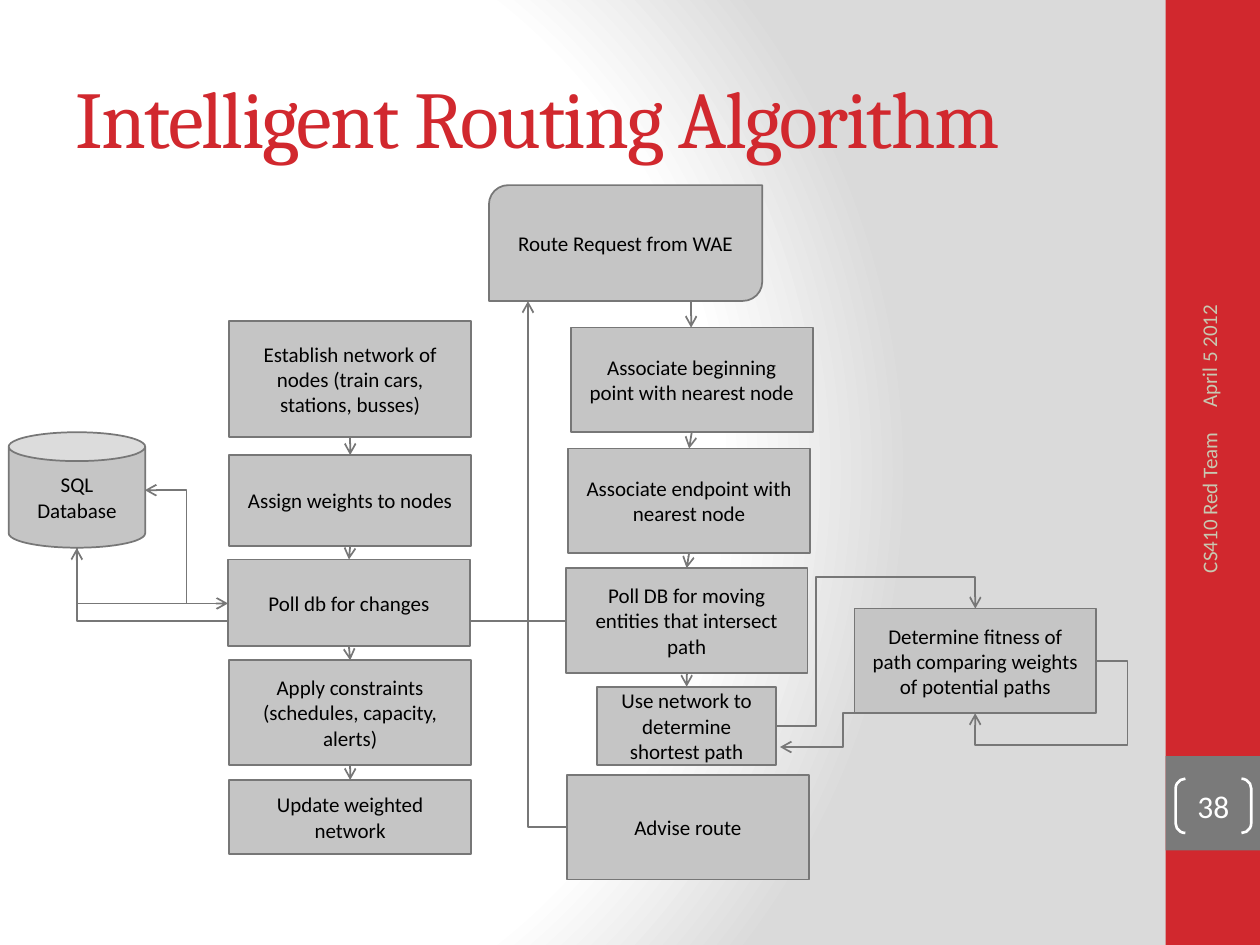
from dataclasses import dataclass
from typing import Any, Optional

from pptx import Presentation
from pptx.dml.color import RGBColor
from pptx.enum.shapes import MSO_AUTO_SHAPE_TYPE as Kind, MSO_CONNECTOR as Link
from pptx.enum.text import MSO_ANCHOR as Anchor, PP_ALIGN as Align
from pptx.oxml import parse_xml
from pptx.oxml.ns import nsdecls, qn
from pptx.util import Pt

RED = RGBColor(0xD1, 0x28, 0x2E)
GREY = RGBColor(0x7A, 0x7A, 0x7A)
BOX_FILL = RGBColor(0xC5, 0xC5, 0xC5)
BOX_LINE = RGBColor(0x77, 0x77, 0x77)
FOOTER = RGBColor(0xC8, 0xC8, 0xB1)
BLACK = RGBColor(0, 0, 0)
WHITE = RGBColor(0xFF, 0xFF, 0xFF)

BODY_FONT = "Calibri"
TITLE_FONT = "Cambria"
BOX_WIDTH = 138.2
STEP_HEIGHT = 59.8
LEFT_COLUMN = 131
BOTTOM, TOP = 2, 0


@dataclass(frozen=True)
class Step:
    text: str
    left: float
    top: float
    width: float = BOX_WIDTH
    height: float = STEP_HEIGHT
    kind: Any = Kind.RECTANGLE


@dataclass(frozen=True)
class Elbow:
    left: float
    top: float
    width: float
    height: float
    bends: int
    rotation: int = 0
    flip: str = ""
    adjust: tuple[float, ...] = ()


@dataclass(frozen=True)
class Label:
    text: str
    area: tuple[float, float, float, float]
    size: float
    color: RGBColor
    font: str = BODY_FONT
    align: Any = Align.LEFT
    rotation: int = 0


DATABASE = Step("SQL Database", 5, 247, 78, 66, Kind.CAN)
REQUEST = Step("Route Request from WAE", 279.4, 105.8, 156.2, 66.2,
               Kind.ROUND_2_DIAG_RECTANGLE)
ESTABLISH = Step("Establish network of nodes (train cars, stations, busses)",
                 LEFT_COLUMN, 183.6, height=66.2)
ASSIGN = Step("Assign weights to nodes", LEFT_COLUMN, 260, height=52)
POLL_CHANGES = Step("Poll db for changes", 130.3, 319.7, height=49.5)
APPLY = Step("Apply constraints\n(schedules, capacity, alerts)", LEFT_COLUMN, 377.3)
UPDATE = Step("Update weighted network", LEFT_COLUMN, 445.7, height=42.5)
BEGINNING = Step("Associate beginning point with nearest node", 326.2, 187.2)
ENDPOINT = Step("Associate endpoint with nearest node", 324.7, 256.3)
POLL_MOVING = Step("Poll DB for moving entities that intersect path", 323.3, 324.7)
SHORTEST = Step("Use network to determine shortest path", 341.3, 392.4, 102.2, 44.6)
ADVISE = Step("Advise route", 324, 442.8)
FITNESS = Step("Determine fitness of path comparing weights of potential paths",
               488.2, 347.8)

LOWER_STEPS = (DATABASE, UPDATE, ESTABLISH, ASSIGN, REQUEST, ENDPOINT, BEGINNING,
               POLL_MOVING, FITNESS, ADVISE, APPLY, SHORTEST)
CHAINS = ((BEGINNING, ENDPOINT, POLL_MOVING, SHORTEST),
          (ESTABLISH, ASSIGN, POLL_CHANGES, APPLY, UPDATE))
ELBOWS = (
    Elbow(301.7, 172.1, 22.3, 300.6, 2, 180),
    Elbow(367.9, 172.1, 27, 15.1, 2),
    Elbow(443.5, 347.8, 113.8, 67, 4, flip="flipV", adjust=(0.2, 1.27)),
    Elbow(557.3, 377.7, 69.1, 29.9, 4, flip="flipH", adjust=(-0.26, 1.6)),
    Elbow(445.7, 407.5, 72, 19.4, 3, 180, "flipV"),
    Elbow(82.8, 280.1, 47.5, 64.8, 3, 180),
    Elbow(71.3, 285.8, 31.7, 86.4, 2, 270, "flipH"),
    Elbow(43.9, 313.2, 279.4, 41.8, 2, 180),
)
LABELS = (
    Label("Intelligent Routing Algorithm", (36, 21.6, 600, 90), 46, RED, TITLE_FONT),
    Label("April 5 2012", (594.7, 129.6, 192.2, 28.8), 12, FOOTER, rotation=270),
    Label("CS410 Red Team", (597.6, 319, 186.5, 28.8), 12, FOOTER,
          align=Align.RIGHT, rotation=270),
)


def assign(target: Any, values: dict[str, Any]) -> None:
    for name, value in values.items():
        setattr(target, name, value)


def write(box: Any, text: str, size: float, color: RGBColor,
          font: str = BODY_FONT, align: Any = Align.CENTER) -> None:
    frame = box.text_frame
    assign(frame, {"word_wrap": True, "vertical_anchor": Anchor.MIDDLE, "text": text})
    for para in frame.paragraphs:
        para.alignment = align
        for span in para.runs:
            assign(span.font, {"name": font, "size": Pt(size)})
            span.font.color.rgb = color


def add_shape(page: Any, kind: Any, area: tuple[float, float, float, float],
              fill: Optional[RGBColor] = None, line: Optional[RGBColor] = None,
              weight: float = 1) -> Any:
    box = page.shapes.add_shape(kind, *map(Pt, area))
    box.shadow.inherit = False
    if fill is None:
        box.fill.background()
    else:
        box.fill.solid()
        box.fill.fore_color.rgb = fill
    if line is None:
        box.line.fill.background()
    else:
        box.line.color.rgb = line
        box.line.width = Pt(weight)
    return box


def add_step(page: Any, step: Step) -> Any:
    box = add_shape(page, step.kind, (step.left, step.top, step.width, step.height),
                    BOX_FILL, BOX_LINE)
    write(box, step.text, 12, BLACK)
    return box


def add_label(page: Any, label: Label) -> Any:
    box = page.shapes.add_textbox(*map(Pt, label.area))
    box.rotation = label.rotation
    write(box, label.text, label.size, label.color, label.font, label.align)
    return box


def add_arrow(page: Any, link: Any) -> Any:
    arrow = page.shapes.add_connector(link, 0, 0, 0, 0)
    arrow.line.color.rgb = BOX_LINE
    arrow.line.width = Pt(1)
    arrow.line._get_or_add_ln().append(
        parse_xml(f'<a:tailEnd {nsdecls("a")} type="arrow"/>'))
    arrow._element.spPr.append(parse_xml(f'<a:effectLst {nsdecls("a")}/>'))
    return arrow


def add_elbow(page: Any, elbow: Elbow) -> None:
    arrow = add_arrow(page, Link.ELBOW)
    assign(arrow, {name: Pt(getattr(elbow, name))
                   for name in ("left", "top", "width", "height")})
    properties = arrow._element.spPr
    frame = properties.find(qn("a:xfrm"))
    frame.set("rot", str(elbow.rotation * 60000))
    if elbow.flip:
        frame.set(elbow.flip, "1")
    guides = "".join(f'<a:gd name="adj{number}" fmla="val {round(value * 100000)}"/>'
                     for number, value in enumerate(elbow.adjust, 1))
    properties.replace(properties.find(qn("a:prstGeom")), parse_xml(
        f'<a:prstGeom {nsdecls("a")} prst="bentConnector{elbow.bends}">'
        f'<a:avLst>{guides}</a:avLst></a:prstGeom>'))


def paint_background(page: Any) -> None:
    page.background.fill.gradient()
    gradient = next(page._element.iter(qn("a:gradFill")))
    stops = "".join(f'<a:gs pos="{place * 1000}"><a:srgbClr val="{color}"/></a:gs>'
                    for place, color in ((0, WHITE), (75, WHITE), (100, "DADADA")))
    gradient.getparent().replace(gradient, parse_xml(
        f'<a:gradFill {nsdecls("a")} rotWithShape="1"><a:gsLst>{stops}</a:gsLst>'
        '<a:path path="circle"><a:fillToRect l="20000" t="50000" r="100000" b="50000"/>'
        '</a:path></a:gradFill>'))


def main() -> None:
    deck = Presentation()
    assign(deck, {"slide_width": Pt(720), "slide_height": Pt(540)})
    page = deck.slides.add_slide(deck.slide_layouts[6])
    paint_background(page)
    add_shape(page, Kind.RECTANGLE, (666, 0, 54, 540), RED)
    add_shape(page, Kind.RECTANGLE, (666, 432, 54, 54), GREY)
    title, *_ = [add_label(page, label) for label in LABELS]
    title.text_frame.paragraphs[0].runs[0].font._element.set("spc", "-100")
    number = add_shape(page, Kind.DOUBLE_BRACKET, (671.8, 445, 43.2, 31),
                       line=WHITE, weight=1.5)
    number.adjustments[0] = 0.18
    assign(number.text_frame, {f"margin_{side}": 0
                               for side in ("left", "top", "right", "bottom")})
    write(number, "38", 18, WHITE)

    boxes = {step: add_step(page, step) for step in LOWER_STEPS}
    for elbow in ELBOWS:
        add_elbow(page, elbow)
    boxes[POLL_CHANGES] = add_step(page, POLL_CHANGES)
    for chain in CHAINS:
        for upper, lower in zip(chain, chain[1:]):
            arrow = add_arrow(page, Link.STRAIGHT)
            arrow.begin_connect(boxes[upper], BOTTOM)
            arrow.end_connect(boxes[lower], TOP)
    deck.save("out.pptx")


if __name__ == "__main__":
    main()
